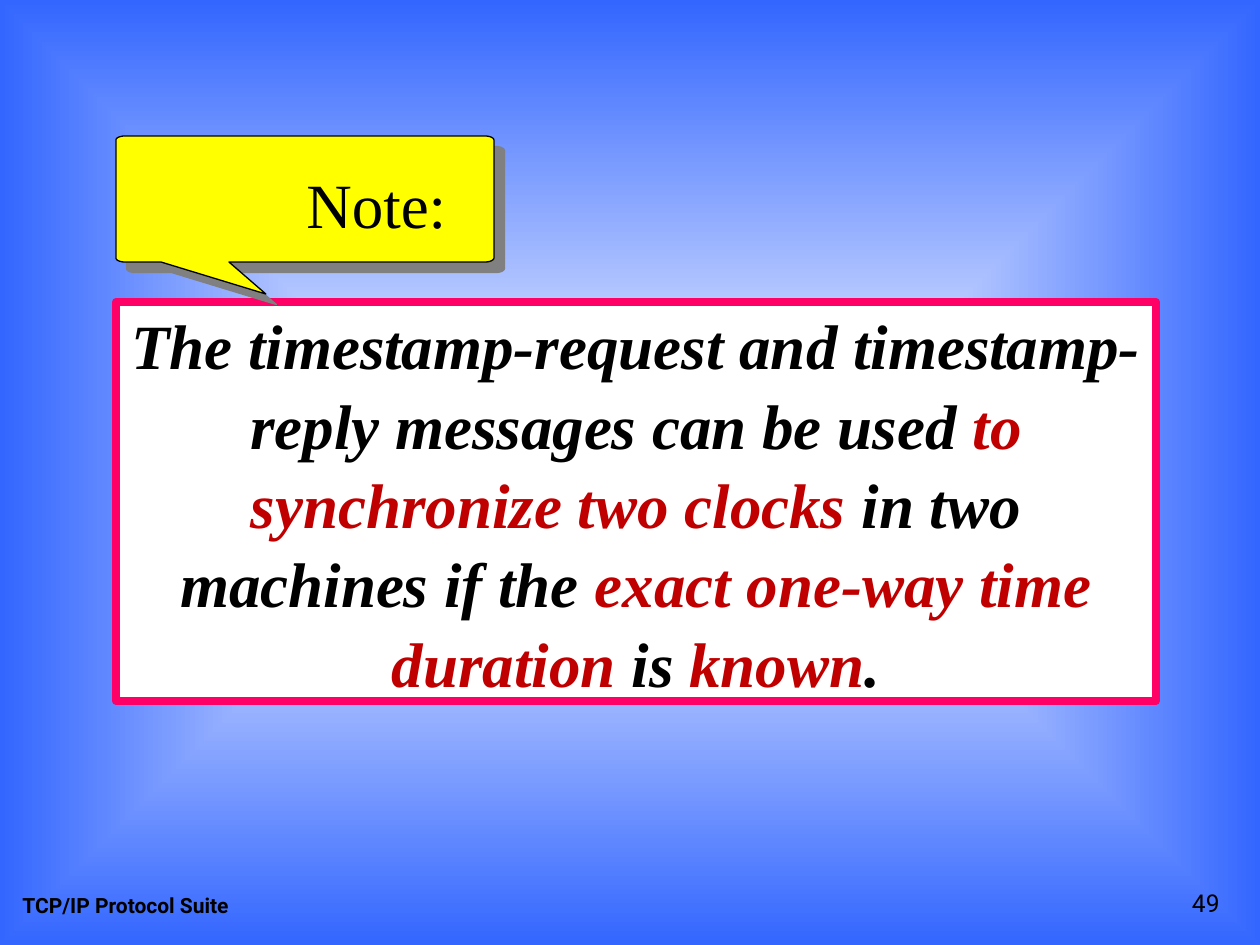
import math
from dataclasses import dataclass

import pptx
import pptx.dml.color
import pptx.enum.text
import pptx.oxml
import pptx.oxml.ns
import pptx.util

PX = 914400 / 126
NS = pptx.oxml.ns.nsdecls("a")
ALIGN = pptx.enum.text.PP_ALIGN
ANCHOR = pptx.enum.text.MSO_ANCHOR


@dataclass(frozen=True)
class Theme:
    blue: str = "3366FF"
    white: str = "FFFFFF"
    black: str = "000000"
    red: str = "C00000"
    pink: str = "FF0066"
    yellow: str = "FFFF00"
    grey: str = "808080"
    serif: str = "Times New Roman"
    sans: str = "Roboto"
    body: int = 36
    number: int = 14
    footer: int = 12


THEME = Theme()


@dataclass(frozen=True)
class Box:
    x: int
    y: int
    w: int
    h: int


@dataclass(frozen=True)
class Label:
    box: Box
    runs: tuple[tuple[str, str], ...]
    size: int
    font: str
    align: ALIGN = ALIGN.LEFT
    anchor: ANCHOR = ANCHOR.BOTTOM
    bold: bool = False
    italic: bool = False
    wrap: bool = True
    spacing: float = 1.0
    border: str | None = None


def emu(px: float) -> int:
    return round(px * PX)


def rgb(value: str) -> pptx.dml.color.RGBColor:
    return pptx.dml.color.RGBColor.from_string(value)


def paint_background(s) -> None:
    """Gradient from a white centre to blue edges."""
    fill = s.background.fill
    fill.gradient()
    for stop, color in zip(fill.gradient_stops, (THEME.white, THEME.blue)):
        stop.color.rgb = rgb(color)
    grad = s.background._cSld.find(".//" + pptx.oxml.ns.qn("a:gradFill"))
    grad.remove(grad.find(pptx.oxml.ns.qn("a:lin")))
    grad.append(pptx.oxml.parse_xml(
        f'<a:path {NS} path="shape"><a:fillToRect l="50000" t="50000" '
        'r="50000" b="50000"/></a:path>'))


def add_label(s, label: Label) -> None:
    b = label.box
    sp = s.shapes.add_textbox(emu(b.x), emu(b.y), emu(b.w), emu(b.h))
    if label.border:
        sp.fill.solid()
        sp.fill.fore_color.rgb = rgb(THEME.white)
        sp.line.color.rgb = rgb(label.border)
        sp.line.width = pptx.util.Pt(4.5)
    tf = sp.text_frame
    tf.word_wrap = label.wrap
    tf.vertical_anchor = label.anchor
    p = tf.paragraphs[0]
    p.alignment = label.align
    p.line_spacing = label.spacing
    for text, color in label.runs:
        r = p.add_run()
        r.text = text
        r.font.name = label.font
        r.font.size = pptx.util.Pt(label.size)
        r.font.bold = label.bold
        r.font.italic = label.italic
        r.font.color.rgb = rgb(color)


def corner(cx: int, cy: int, rx: int, ry: int, start: int) -> list[tuple[int, int]]:
    """Quarter ellipse, clockwise from the start angle in degrees."""
    angles = [math.radians(start + step) for step in range(0, 91, 15)]
    return [(emu(cx + rx * math.cos(a)), emu(cy + ry * math.sin(a))) for a in angles]


def add_callout(s, box: Box, tail: list[tuple[int, int]]) -> None:
    rx, ry = 9, 4
    left, right = box.x + rx, box.x + box.w - rx
    top, bottom = box.y + ry, box.y + box.h - ry
    points = (corner(left, top, rx, ry, 180) + corner(right, top, rx, ry, 270)
              + corner(right, bottom, rx, ry, 0)
              + [(emu(x), emu(y)) for x, y in tail]
              + corner(left, bottom, rx, ry, 90))
    builder = s.shapes.build_freeform(*points[0])
    builder.add_line_segments(points[1:], close=True)
    sp = builder.convert_to_shape()
    sp.fill.solid()
    sp.fill.fore_color.rgb = rgb(THEME.yellow)
    sp.line.color.rgb = rgb(THEME.black)
    sp.line.width = pptx.util.Pt(0.75)
    # Hard drop shadow to the lower right
    sp._element.spPr.append(pptx.oxml.parse_xml(
        f'<a:effectLst {NS}><a:outerShdw dist="{pptx.util.Pt(8.5)}" dir="2700000" '
        f'algn="ctr" rotWithShape="0"><a:srgbClr val="{THEME.grey}"/>'
        '</a:outerShdw></a:effectLst>'))


def main() -> None:
    prs = pptx.Presentation()
    prs.slide_width, prs.slide_height = emu(1260), emu(945)
    s = prs.slides.add_slide(prs.slide_layouts[6])
    paint_background(s)

    # Footer and slide number
    add_label(s, Label(Box(10, 861, 399, 63), (("TCP/IP Protocol Suite", THEME.black),),
                       THEME.footer, THEME.sans, bold=True))
    add_label(s, Label(Box(970, 861, 262, 63), (("49", THEME.black),),
                       THEME.number, THEME.sans, ALIGN.RIGHT))

    # Statement
    statement = (
        ("The timestamp-request and timestamp-reply messages can be used ", THEME.black),
        ("to synchronize two clocks", THEME.red),
        (" in two machines if the ", THEME.black),
        ("exact one-way time duration", THEME.red),
        (" is ", THEME.black),
        ("known", THEME.red),
        (".", THEME.black),
    )
    add_label(s, Label(Box(116, 302, 1040, 399), statement, THEME.body, THEME.serif,
                       ALIGN.CENTER, ANCHOR.MIDDLE, bold=True, italic=True,
                       spacing=1.05, border=THEME.pink))

    # Note callout
    add_callout(s, Box(116, 136, 378, 126), [(229, 262), (266, 294), (161, 262)])
    add_label(s, Label(Box(294, 157, 165, 88), (("Note:", THEME.black),), THEME.body,
                       THEME.serif, anchor=ANCHOR.MIDDLE, wrap=False, spacing=1.05))

    prs.save("out.pptx")


if __name__ == "__main__":
    main()
